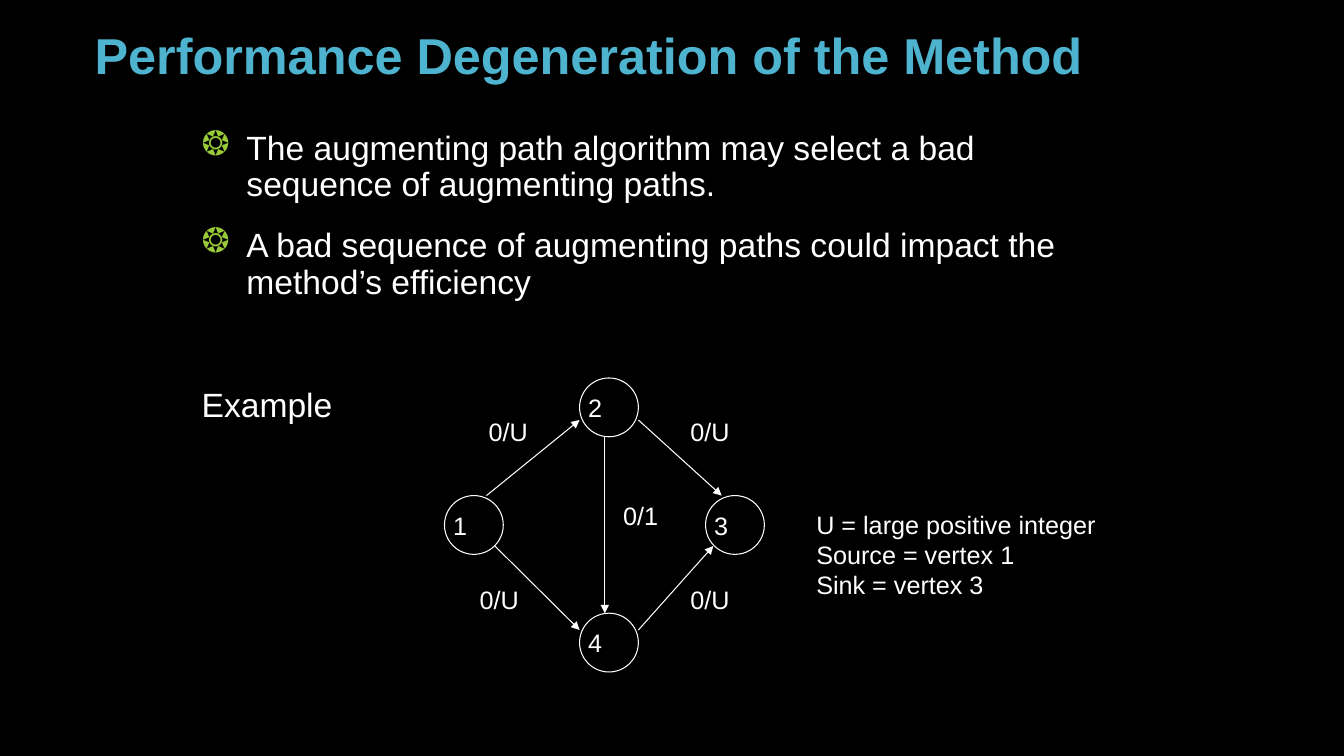
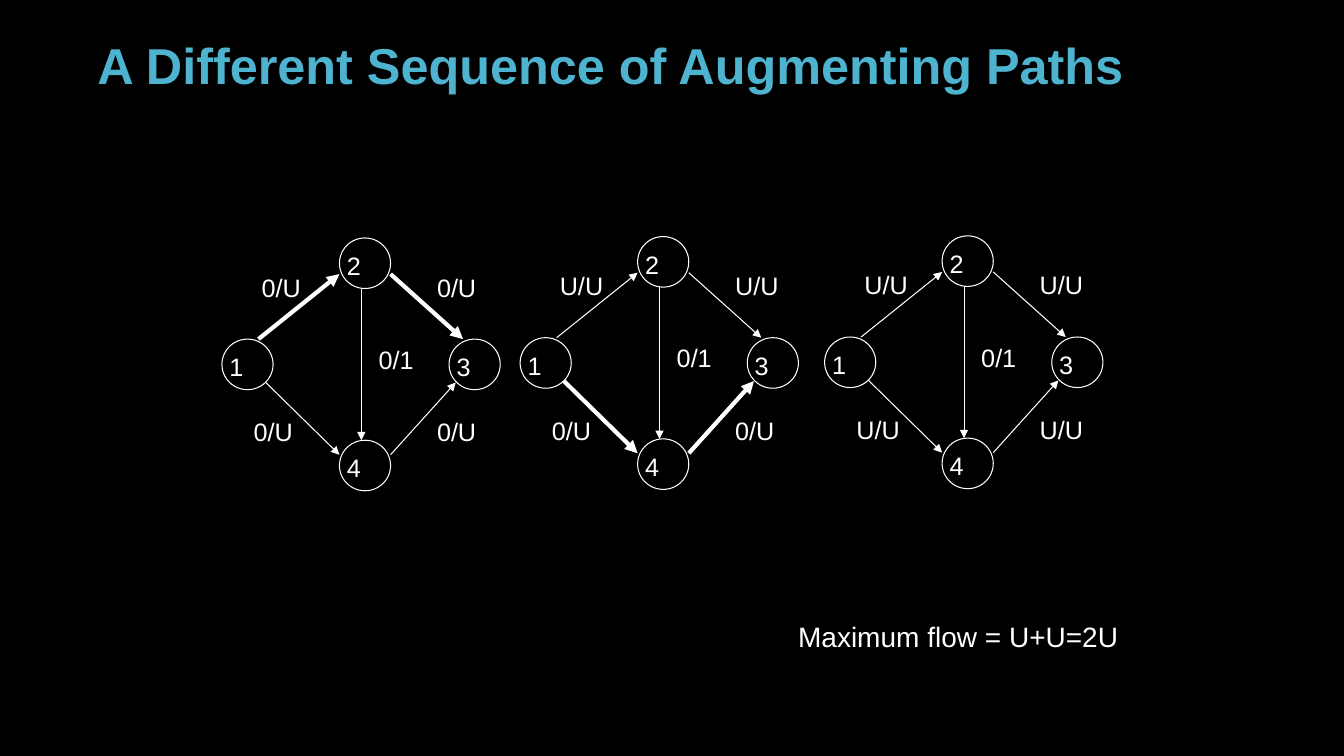
import pptx
import pptx.dml.color
import pptx.enum.shapes
import pptx.enum.text
import pptx.oxml
import pptx.oxml.ns
import pptx.util
from lxml import etree

Pt = pptx.util.Pt
qn = pptx.oxml.ns.qn
rgb = pptx.dml.color.RGBColor.from_string
MSO_SHAPE = pptx.enum.shapes.MSO_SHAPE
STRAIGHT = pptx.enum.shapes.MSO_CONNECTOR.STRAIGHT
ANCHOR = pptx.enum.text.MSO_ANCHOR

BLACK, WHITE, TITLE_BLUE, BULLET_GREEN = "000000", "FFFFFF", "4EB3CF", "99CB38"

# Graph geometry in points, before scaling
NODE = 42
NODES = {"1": (0, 84), "2": (96.5, 0), "3": (186.5, 84), "4": (96.5, 168)}
# edge: line start, line end, label corner
EDGES = {
    "1-2": ((30, 84), (96.5, 30), (24.5, 24)),
    "2-3": ((138.5, 30), (198, 84), (168.5, 24)),
    "2-4": ((114.5, 42), (114.5, 168), (120.5, 84)),
    "1-4": ((36, 120), (96.5, 180), (18, 144)),
    "4-3": ((138.5, 180), (192, 120), (168.5, 144)),
}


def add_text(shapes, x, y, w, h, text, size, color=WHITE, bold=False, spacing=1.0):
    """Add a wrapping text box and return its text frame."""
    tf = shapes.add_textbox(Pt(x), Pt(y), Pt(w), Pt(h)).text_frame
    tf.word_wrap = True
    tf.text = text
    for p in tf.paragraphs:
        p.line_spacing = spacing
        for r in p.runs:
            r.font.name = "Arial"
            r.font.size = Pt(size)
            r.font.bold = bold
            r.font.color.rgb = rgb(color)
    return tf


def add_graph(s, x, y, labels, bold=(), sx=1.0, sy=1.0, inset=(0, 0)):
    """Draw the four-vertex flow network; inset is the vertex text's right and top margin."""
    shapes = s.shapes.add_group_shape().shapes
    for name, (nx, ny) in NODES.items():
        sp = shapes.add_shape(MSO_SHAPE.OVAL, Pt(x + nx * sx), Pt(y + ny * sy),
                              Pt(NODE * sx), Pt(NODE * sy))
        sp.shadow.inherit = False
        sp.fill.background()
        sp.line.color.rgb = rgb(WHITE)
        sp.line.width = Pt(0.75)
        tf = sp.text_frame
        tf.margin_left = tf.margin_bottom = 0
        tf.margin_right, tf.margin_top = Pt(inset[0]), Pt(inset[1])
        tf.vertical_anchor = ANCHOR.MIDDLE
        tf.text = name
        font = tf.paragraphs[0].runs[0].font
        font.name, font.size = "Arial", Pt(18)
        font.color.rgb = rgb(WHITE)
    for (edge, (start, end, corner)), label in zip(EDGES.items(), labels):
        line = shapes.add_connector(STRAIGHT, Pt(x + start[0] * sx), Pt(y + start[1] * sy),
                                    Pt(x + end[0] * sx), Pt(y + end[1] * sy))
        line.line.color.rgb = rgb(WHITE)
        line.line.width = Pt(3 if edge in bold else 0.75)
        spPr = line._element.spPr
        etree.SubElement(spPr.find(qn("a:ln")), qn("a:tailEnd"), type="triangle")
        etree.SubElement(spPr, qn("a:effectLst"))
        add_text(shapes, x + corner[0] * sx, y + corner[1] * sy, 50, 29, label, 18)


prs = pptx.Presentation()
prs.slide_width, prs.slide_height = Pt(960), Pt(540)
background = prs.slide_master.background.fill
background.solid()
background.fore_color.rgb = rgb(BLACK)

slides = []
for title, x, y in [("Performance Degeneration of the Method", 60.5, 22.5),
                    ("A Different Sequence of Augmenting Paths", 62.5, 29.5)]:
    s = prs.slides.add_slide(prs.slide_layouts[6])
    tf = add_text(s.shapes, x, y, 771, 42, title, 36, TITLE_BLUE, bold=True, spacing=0.9)
    tf.vertical_anchor = ANCHOR.BOTTOM
    slides.append(s)

# Slide 1: the problem and the example network
s = slides[0]
tf = add_text(s.shapes, 137, 90, 654, 140,
              "The augmenting path algorithm may select a bad sequence of augmenting paths.\n"
              "A bad sequence of augmenting paths could impact the method’s efficiency",
              24, spacing=0.9)
tf.paragraphs[1].space_before = Pt(18)
for p in tf.paragraphs:
    pPr = p._p.get_or_add_pPr()
    pPr.set("marL", str(Pt(32)))
    pPr.set("indent", str(-Pt(32)))
    color = etree.SubElement(pPr, qn("a:buClr"))
    etree.SubElement(color, qn("a:srgbClr"), val=BULLET_GREEN)
    etree.SubElement(pPr, qn("a:buChar"), char="❂")
add_text(s.shapes, 137, 274, 150, 36, "Example", 24, spacing=0.9)
add_graph(s, 317.5, 270, ["0/U", "0/U", "0/1", "0/U", "0/U"], inset=(5, 0))
add_text(s.shapes, 576, 360, 238, 73,
         "U = large positive integer\nSource = vertex 1\nSink = vertex 3", 18)

# Slide 2: the augmenting steps from left to right
s = slides[1]
for x, y, labels, bold in [
    (158.5, 170, ["0/U", "0/U", "0/1", "0/U", "0/U"], ["1-2", "2-3"]),
    (371.5, 169, ["U/U", "U/U", "0/1", "0/U", "0/U"], ["1-4", "4-3"]),
    (589, 168.5, ["U/U", "U/U", "0/1", "U/U", "U/U"], []),
]:
    add_graph(s, x, y, labels, bold, sx=0.87, sy=0.86, inset=(2, 3))
add_text(s.shapes, 563, 439, 258, 32, "Maximum flow = U+U=2U", 20)

prs.save("out.pptx")
